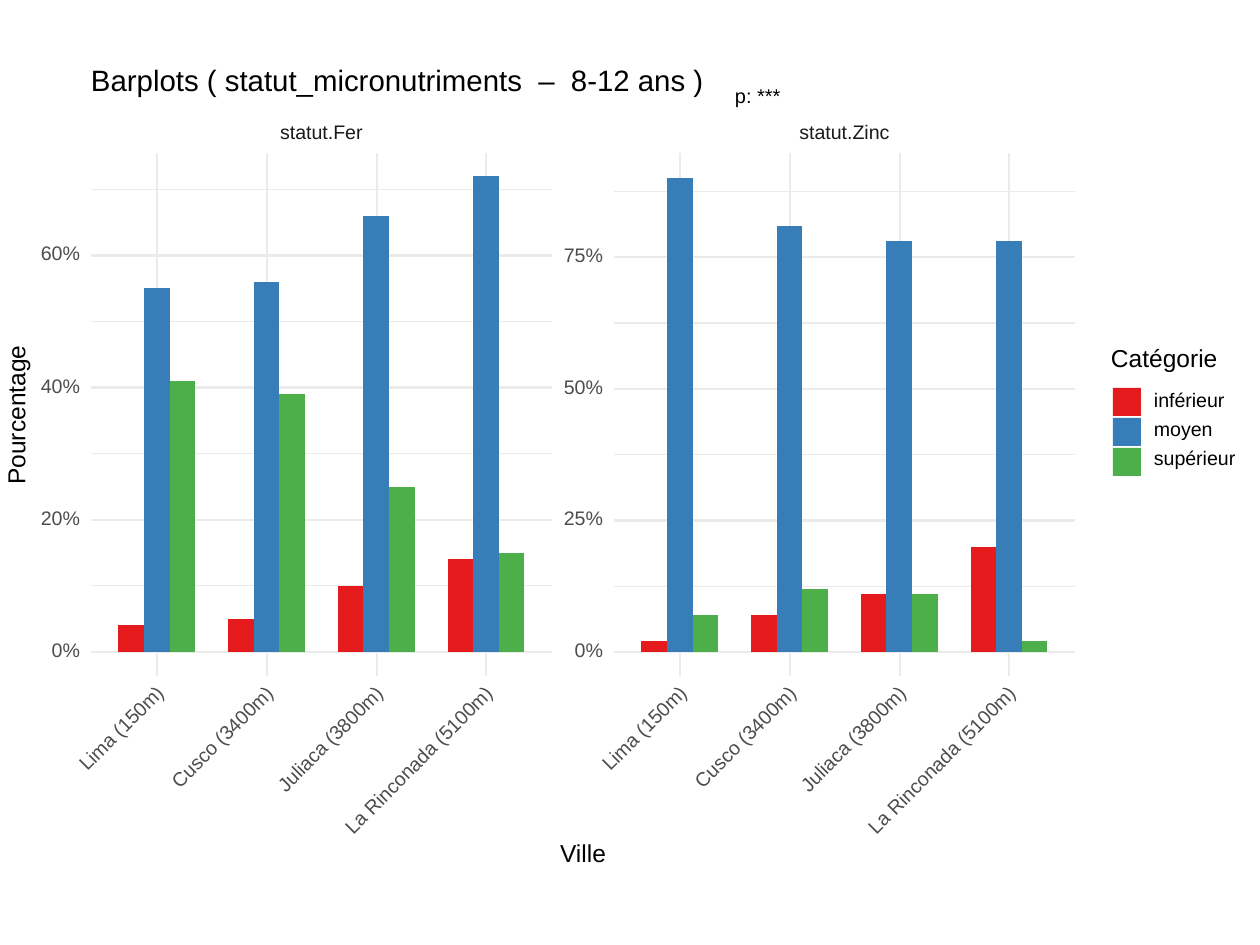
from dataclasses import dataclass

from lxml import etree
from pptx import Presentation
from pptx import util as u
from pptx.chart import data as chart_data
from pptx.dml import color
from pptx.enum import chart as chart_enum, shapes, text
from pptx.oxml import ns, parse_xml

SCALE = 914400 / 126
PLOT_TOP, BASELINE, PLOT_BOTTOM = 153, 652, 676
PANEL_WIDTH, FIRST_TICK, CHART_WIDTH = 461, 66, 439
LEFT, CENTER, RIGHT = text.PP_ALIGN.LEFT, text.PP_ALIGN.CENTER, text.PP_ALIGN.RIGHT


@dataclass(frozen=True)
class Theme:
    font: str = "Arial"
    black: str = "000000"
    strip: str = "1A1A1A"
    axis: str = "4D4D4D"
    grid: str = "EBEBEB"
    title_size: float = 16.8
    heading_size: float = 14
    note_size: float = 11.4
    label_size: float = 11.2
    minor_line: float = 0.68
    major_line: float = 1.36


@dataclass(frozen=True)
class City:
    name: str
    label_width: int


@dataclass(frozen=True)
class Category:
    name: str
    fill: str


@dataclass(frozen=True)
class Panel:
    name: str
    left: int
    step: int
    maximum: float
    values: tuple


@dataclass(frozen=True)
class Label:
    content: str
    left: int
    middle: int
    width: int
    size: float = Theme.label_size
    fill: str = Theme.black
    align: text.PP_ALIGN = LEFT
    rotation: int = 0
    height: int = 20


CITIES = (
    City("Lima (150m)", 110),
    City("Cusco (3400m)", 134),
    City("Juliaca (3800m)", 140),
    City("La Rinconada (5100m)", 199),
)
CATEGORIES = (
    Category("inférieur", "E41A1C"),
    Category("moyen", "377EB8"),
    Category("supérieur", "4DAF4A"),
)
PANELS = (
    Panel("statut.Fer", 91, 20, 75.5, (
        (4, 5, 10, 14), (55, 56, 66, 72), (41, 39, 25, 15))),
    Panel("statut.Zinc", 614, 25, 94.8, (
        (2, 7, 11, 20), (90, 81, 78, 78), (7, 12, 11, 2))),
)
LABELS = (
    Label("p: ***", 735, 97, 60, Theme.note_size),
    Label("Ville", 553, 855, 60, Theme.heading_size, align=CENTER),
    Label("Pourcentage", -57, 415, 150, Theme.heading_size, align=CENTER, rotation=270),
    Label("Catégorie", 1111, 360, 120, Theme.heading_size),
)


def px(value: float) -> int:
    return round(value * SCALE)


def rgb(value: str) -> color.RGBColor:
    return color.RGBColor.from_string(value)


def fill_label(shape, label: Label) -> None:
    shape.left, shape.top = px(label.left), px(label.middle - label.height / 2)
    shape.width, shape.height = px(label.width), px(label.height)
    shape.rotation = label.rotation
    frame = shape.text_frame
    frame.text = label.content
    frame.word_wrap = True
    frame.auto_size = text.MSO_AUTO_SIZE.NONE
    frame.vertical_anchor = text.MSO_ANCHOR.MIDDLE
    frame.margin_left = frame.margin_right = frame.margin_top = frame.margin_bottom = 0
    paragraph = frame.paragraphs[0]
    paragraph.alignment = label.align
    paragraph.line_spacing = u.Pt(label.size)
    font = paragraph.runs[0].font
    font.name, font.size = Theme.font, u.Pt(label.size)
    font.color.rgb = rgb(label.fill)


def add_label(slide, label: Label) -> None:
    fill_label(slide.shapes.add_textbox(0, 0, 0, 0), label)


def add_grid_line(slide, start: tuple, end: tuple, weight: float) -> None:
    line = slide.shapes.add_connector(
        shapes.MSO_CONNECTOR.STRAIGHT, *map(px, start), *map(px, end))
    line.line.color.rgb = rgb(Theme.grid)
    line.line.width = u.Pt(weight)
    etree.SubElement(line._element.spPr, ns.qn("a:effectLst"))


def add_bars(slide, panel: Panel) -> None:
    data = chart_data.CategoryChartData(number_format='0"%"')
    data.categories = [city.name for city in CITIES]
    for category, values in zip(CATEGORIES, panel.values):
        data.add_series(category.name, values)
    chart = slide.shapes.add_chart(
        chart_enum.XL_CHART_TYPE.COLUMN_CLUSTERED, px(panel.left + 11), px(PLOT_TOP),
        px(CHART_WIDTH), px(BASELINE - PLOT_TOP), data).chart
    chart.has_legend = chart.has_title = False
    chart.font.name, chart.font.size = Theme.font, u.Pt(Theme.label_size)
    chart.font.color.rgb = rgb(Theme.axis)
    axis = chart.value_axis
    axis.minimum_scale, axis.maximum_scale, axis.major_unit = 0, panel.maximum, panel.step
    axis.has_major_gridlines = False
    axis.visible = chart.category_axis.visible = False
    plot = chart.plots[0]
    plot.gap_width, plot.overlap, plot.vary_by_categories = 129, 0, False
    for series, category in zip(plot.series, CATEGORIES):
        series.format.fill.solid()
        series.format.fill.fore_color.rgb = rgb(category.fill)
    clear_chart_area(chart)


def clear_chart_area(chart) -> None:
    names = ns.nsdecls("c", "a")
    root = chart._chartSpace.find(ns.qn("c:chart"))
    area = root.find(ns.qn("c:plotArea"))
    for layout in area.findall(ns.qn("c:layout")):
        area.remove(layout)
    area.insert(0, parse_xml(
        f'<c:layout {names}><c:manualLayout><c:layoutTarget val="inner"/>'
        '<c:xMode val="edge"/><c:yMode val="edge"/><c:x val="0"/><c:y val="0"/>'
        '<c:w val="1"/><c:h val="1"/></c:manualLayout></c:layout>'))
    clear = f"<c:spPr {names}><a:noFill/><a:ln><a:noFill/></a:ln></c:spPr>"
    area.append(parse_xml(clear))
    root.addnext(parse_xml(clear))


def add_panel(slide, panel: Panel) -> None:
    right = panel.left + PANEL_WIDTH
    add_label(slide, Label(panel.name, panel.left, 134, PANEL_WIDTH,
                           fill=Theme.strip, align=CENTER))
    for index in range(8):
        value = index * panel.step / 2
        y = BASELINE - value / panel.maximum * (BASELINE - PLOT_TOP)
        weight = Theme.minor_line if index % 2 else Theme.major_line
        add_grid_line(slide, (panel.left, y), (right, y), weight)
        if index % 2 == 0:
            add_label(slide, Label(f"{value:.0f}%", panel.left - 61, round(y), 50,
                                   fill=Theme.axis, align=RIGHT))
    for index, city in enumerate(CITIES):
        x = panel.left + FIRST_TICK + round(index * CHART_WIDTH / len(CITIES))
        add_grid_line(slide, (x, PLOT_BOTTOM), (x, PLOT_TOP), Theme.major_line)
        reach = city.label_width / 2 * 0.71
        add_label(slide, Label(city.name, round(x + 4 - reach - city.label_width / 2 - 5),
                               round(690 + reach), city.label_width + 10,
                               fill=Theme.axis, align=CENTER, rotation=315))
    add_bars(slide, panel)


def add_legend_entry(slide, index: int, category: Category) -> None:
    swatch = slide.shapes.add_shape(
        shapes.MSO_SHAPE.RECTANGLE, px(1113), px(388 + 30 * index), px(28), px(28))
    swatch.shadow.inherit = False
    swatch.fill.solid()
    swatch.fill.fore_color.rgb = rgb(category.fill)
    swatch.line.fill.background()
    add_label(slide, Label(category.name, 1154, 402 + 29 * index, 90))


def main() -> None:
    presentation = Presentation()
    presentation.slide_width, presentation.slide_height = px(1260), px(945)
    slide = presentation.slides.add_slide(presentation.slide_layouts[5])
    fill_label(slide.shapes.title, Label(
        "Barplots ( statut_micronutriments  –  8-12 ans )", 91, 83, 630,
        Theme.title_size, height=28))
    for panel in PANELS:
        add_panel(slide, panel)
    for label in LABELS:
        add_label(slide, label)
    for index, category in enumerate(CATEGORIES):
        add_legend_entry(slide, index, category)
    presentation.save("out.pptx")


if __name__ == "__main__":
    main()
